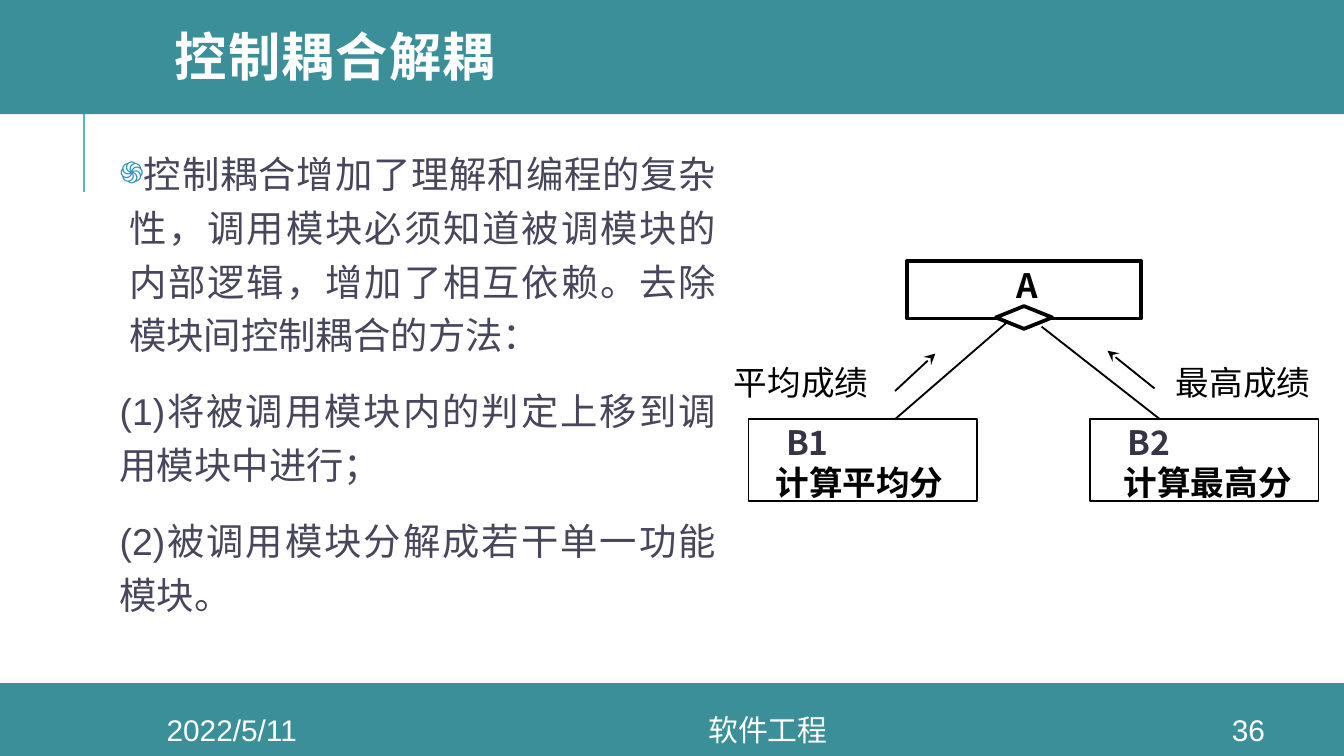
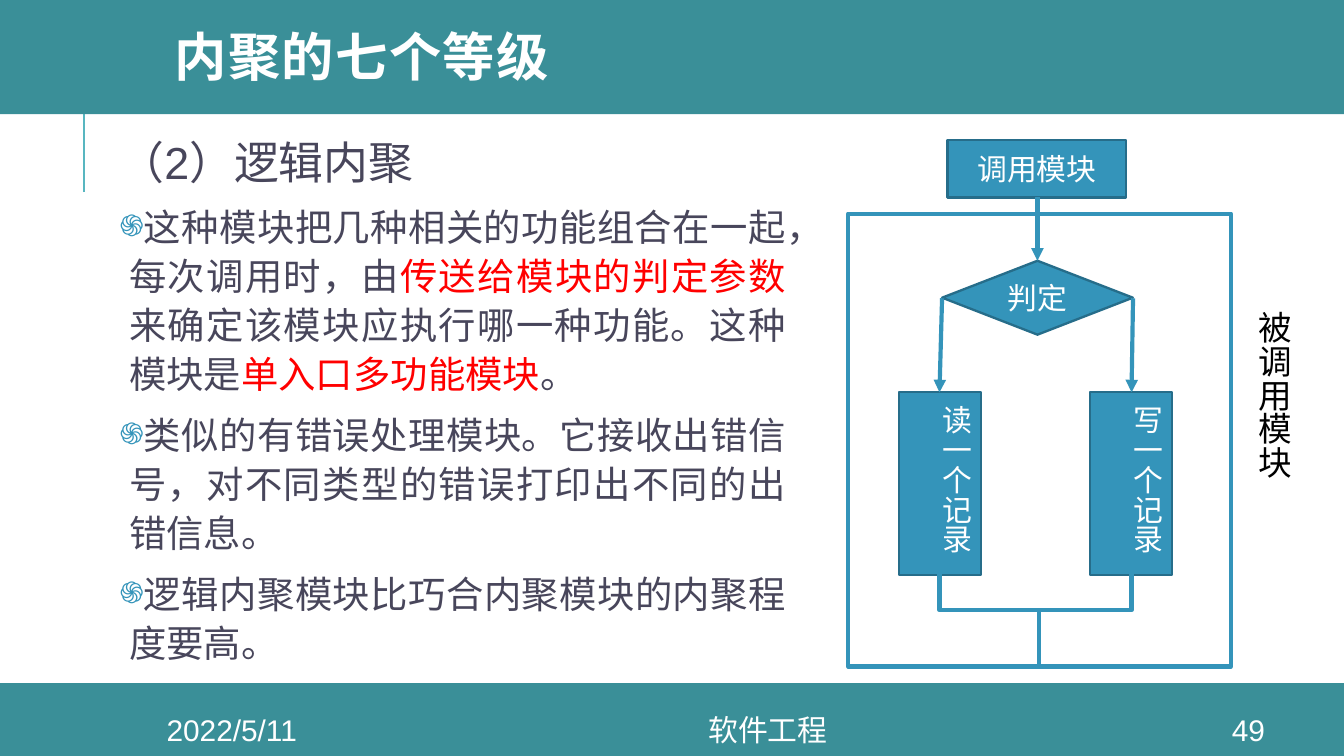
"""Build two lecture slides on module coupling and cohesion."""
from lxml import etree
from pptx import Presentation
from pptx.dml.color import RGBColor as RGB
from pptx.enum.shapes import MSO_CONNECTOR as LINK, MSO_SHAPE as SHAPE
from pptx.enum.text import MSO_ANCHOR as ANCHOR, MSO_AUTO_SIZE as FIT, PP_ALIGN as ALIGN
from pptx.oxml.ns import qn
from pptx.util import Pt

TEAL = RGB(0x3A, 0x8F, 0x98)
AQUA = RGB(0x58, 0xB6, 0xC0)
BLUE = RGB(0x34, 0x94, 0xBA)
NAVY = RGB(0x26, 0x6D, 0x8A)
SLATE = RGB(0x48, 0x46, 0x5B)
DARK = RGB(0x37, 0x35, 0x45)
BLACK = RGB(0, 0, 0)
WHITE = RGB(0xFF, 0xFF, 0xFF)
RED = RGB(0xFF, 0, 0)
SANS, HEAD, HAN = "Arial", "Montserrat", "Noto Sans CJK SC"
MID = ANCHOR.MIDDLE


def pts(*nums):
    return [Pt(num) for num in nums]


def style(run, size, color, face=SANS, bold=False):
    font = run.font
    font.size, font.bold, font.name = Pt(size), bold, face
    font.color.rgb = color
    etree.SubElement(run._r.get_or_add_rPr(), qn("a:ea"), typeface=face)


def inset(frame, wide, high):
    frame.margin_left = frame.margin_right = Pt(wide)
    frame.margin_top = frame.margin_bottom = Pt(high)


def write(shape, words, size, color, face=SANS, bold=False,
          align=ALIGN.LEFT, anchor=ANCHOR.TOP, tall=False):
    frame = shape.text_frame
    frame.text = words
    frame.word_wrap = True
    frame.vertical_anchor = anchor
    para = frame.paragraphs[0]
    para.alignment = align
    style(para.runs[0], size, color, face, bold)
    if tall:
        frame.auto_size = FIT.SHAPE_TO_FIT_TEXT
        frame._txBody.bodyPr.set("vert", "eaVert")
    return frame


def textbox(slide, box, words, size, color, **look):
    return write(slide.shapes.add_textbox(*pts(*box)), words, size, color, **look)


def label(slide, box, words, color=BLACK, bold=True, wrap=True):
    frame = textbox(slide, box, words, 18, color, face=HAN, bold=bold)
    inset(frame, 5.76, 2.88)
    frame.word_wrap = wrap
    frame.auto_size = FIT.SHAPE_TO_FIT_TEXT


def block(slide, box, fill=None, edge=None, width=1, kind=SHAPE.RECTANGLE):
    shape = slide.shapes.add_shape(kind, *pts(*box))
    shape.shadow.inherit = False
    if fill is None:
        shape.fill.background()
    else:
        shape.fill.solid()
        shape.fill.fore_color.rgb = fill
    if edge is None:
        shape.line.fill.background()
    else:
        shape.line.color.rgb = edge
        shape.line.width = Pt(width)
    return shape


def step(slide, box, words, kind=SHAPE.RECTANGLE, anchor=MID, tall=False):
    shape = block(slide, box, BLUE, NAVY, 1.25, kind)
    write(shape, words, 16, WHITE, align=ALIGN.CENTER, anchor=anchor, tall=tall)


def link(slide, ends, color, width, tip=None, kind=LINK.STRAIGHT):
    line = slide.shapes.add_connector(kind, *pts(*ends))
    line.line.color.rgb = color
    line.line.width = Pt(width)
    props = line.element.spPr
    if tip:
        etree.SubElement(props.find(qn("a:ln")), qn("a:tailEnd"), type=tip)
    etree.SubElement(props, qn("a:effectLst"))
    return line


def elbow(slide, left, top, right, low):
    """Draw a line that drops from (left, top), then runs level to (right, low)."""
    midx, midy = (left + right) / 2, (top + low) / 2
    halfx, halfy = (low - top) / 2, abs(right - left) / 2
    east = right > left
    side = halfx if east else -halfx
    ends = midx + side, midy - halfy, midx - side, midy + halfy
    props = link(slide, ends, BLUE, 2.25, kind=LINK.ELBOW).element.spPr
    props.find(qn("a:prstGeom")).set("prst", "bentConnector2")
    props.find(qn("a:xfrm")).set("rot", str((270 if east else 90) * 60000))


def bullet(para):
    props = para._p.get_or_add_pPr()
    props.set("marL", str(Pt(5.04)))
    props.set("indent", str(Pt(-33.8)))
    color = etree.SubElement(props, qn("a:buClr"))
    etree.SubElement(color, qn("a:srgbClr"), val=str(BLUE))
    etree.SubElement(props, qn("a:buSzPct"), val="80000")
    etree.SubElement(props, qn("a:buFont"), typeface=SANS)
    etree.SubElement(props, qn("a:buChar"), char="֍")


def body(slide, box, paras, space, gap):
    """Fill a box from (bulleted, size, runs) rows; odd runs are red."""
    frame = slide.shapes.add_textbox(*pts(*box)).text_frame
    frame.word_wrap = True
    inset(frame, 3.6, 3.6)
    for row, (dot, size, runs) in enumerate(paras):
        para = frame.add_paragraph() if row else frame.paragraphs[0]
        if dot:
            bullet(para)
        para.alignment = ALIGN.JUSTIFY
        para.line_spacing = space
        if row:
            para.space_before = Pt(gap)
        for turn, words in enumerate(runs):
            run = para.add_run()
            run.text = words
            style(run, size, RED if turn % 2 else SLATE)


def base(deck, title, page):
    slide = deck.slides.add_slide(deck.slide_layouts[6])
    link(slide, (45, 103, 45, 49), AQUA, 1.5)
    block(slide, (0, 366, 720, 39), TEAL)
    block(slide, (0, -2, 720, 63.2), TEAL)
    frame = textbox(slide, (86.4, 0, 611, 65.5), title, 28, WHITE,
                    face=HEAD, bold=True, anchor=MID)
    para = frame.paragraphs[0]
    para.line_spacing = 0.8
    para.runs[0].font._rPr.set("spc", "80")
    foot = (60.5, 127.4, "2022/5/11"), (187.9, 447, "软件工程"), (640, 57.6, page)
    for left, wide, words in foot:
        textbox(slide, (left, 382.3, wide, 16.6), words, 16, WHITE,
                align=ALIGN.CENTER, anchor=MID)
    return slide


def coupling(deck):
    slide = base(deck, "控制耦合解耦", "36")
    body(slide, (60.5, 72.7, 326.9, 299.5), [
        (True, 20, ["控制耦合增加了理解和编程的复杂性，调用模块必须知道被调模块的内部逻辑，"
                    "增加了相互依赖。去除模块间控制耦合的方法："]),
        (False, 20, ["(1)将被调用模块内的判定上移到调用模块中进行；"]),
        (False, 20, ["(2)被调用模块分解成若干单一功能模块。"]),
    ], 1.2, 12)
    block(slide, (486, 139.7, 125.3, 31), WHITE, BLACK, 2)
    label(slide, (538.6, 139, 27.4, 34.6), "A", wrap=False)
    block(slide, (533.5, 164, 30.2, 12.2), WHITE, BLACK, 2, SHAPE.DIAMOND)
    units = [
        (401, "B1", 415.4, "计算平均分", 409.7, 116.6),
        (584, "B2", 598.3, "计算最高分", 596.2, 110.9),
    ]
    for left, name, namex, task, taskx, wide in units:
        block(slide, (left, 224.6, 122.4, 43.9), WHITE, BLACK)
        label(slide, (taskx, 244.8, wide, 61.9), task)
        label(slide, (namex, 223.2, 41.8, 34.6), name, DARK)
    label(slide, (387.4, 190.8, 113, 34.6), "平均成绩", bold=False, wrap=False)
    label(slide, (624.2, 190.8, 108, 61.9), "最高成绩", bold=False)
    link(slide, (539.3, 172.8, 479.5, 224.6), BLACK, 1)
    link(slide, (558, 175, 621.4, 224.6), BLACK, 1)
    link(slide, (479.5, 209.5, 501.1, 189.4), BLACK, 1, "stealth")
    link(slide, (618.5, 208.1, 593.3, 187.9), BLACK, 1, "stealth")


def cohesion(deck):
    slide = base(deck, "内聚的七个等级", "49")
    body(slide, (60.5, 65.5, 364.3, 295.9), [
        (False, 24, ["（2）逻辑内聚"]),
        (True, 20, ["这种模块把几种相关的功能组合在一起，每次调用时，由", "传送给模块的判定参数",
                    "来确定该模块应执行哪一种功能。这种模块是", "单入口多功能模块", "。"]),
        (True, 20, ["类似的有错误处理模块。它接收出错信号，对不同类型的错误打印出不同的出错信息。"]),
        (True, 20, ["逻辑内聚模块比巧合内聚模块的内聚程度要高。"]),
    ], 1.1, 6)
    step(slide, (507.6, 74.9, 95.8, 31), "调用模块")
    block(slide, (454.3, 114.5, 205.2, 242.6), None, BLUE, 2.25)
    textbox(slide, (661, 159.8, 36, 120.2), "被调用模块", 18, BLACK, tall=True)
    step(slide, (504.7, 139.7, 102.2, 39.6), "判定", SHAPE.DIAMOND)
    link(slide, (555.8, 105.8, 555.8, 139.7), BLUE, 2.25, "triangle")
    sides = [
        (481.7, 504.7, 503.3, 566.5, "读一个记录"),
        (583.9, 607, 606.2, 565, "写一个记录"),
    ]
    for left, start, end, meet, words in sides:
        step(slide, (left, 210.2, 43.9, 97.9), words, anchor=ANCHOR.TOP, tall=True)
        link(slide, (start, 159.8, end, 210.2), BLUE, 2.25, "triangle")
        elbow(slide, end, 307.4, meet, 326.9)
    link(slide, (556.6, 357.1, 556.6, 326.9), BLUE, 2.25)


def main():
    deck = Presentation()
    deck.slide_width, deck.slide_height = pts(720, 405)
    coupling(deck)
    cohesion(deck)
    deck.save("out.pptx")


if __name__ == "__main__":
    main()
